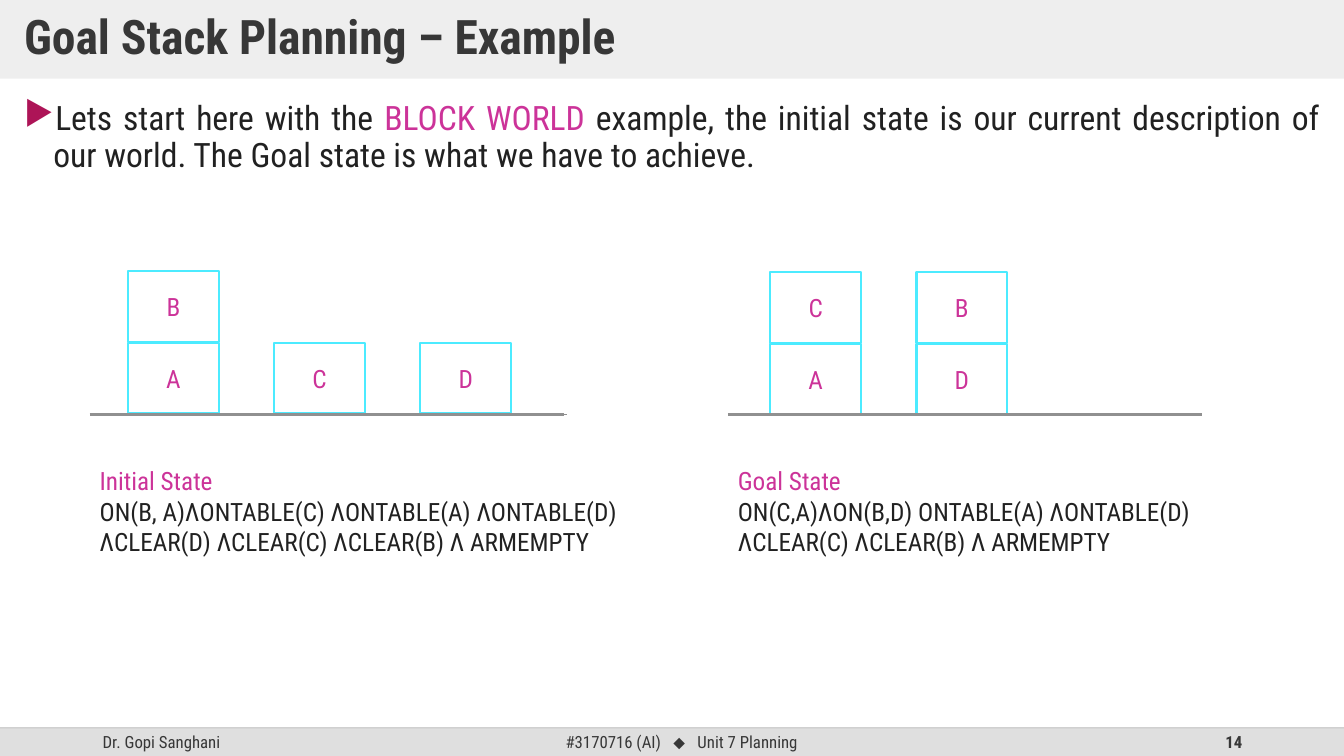
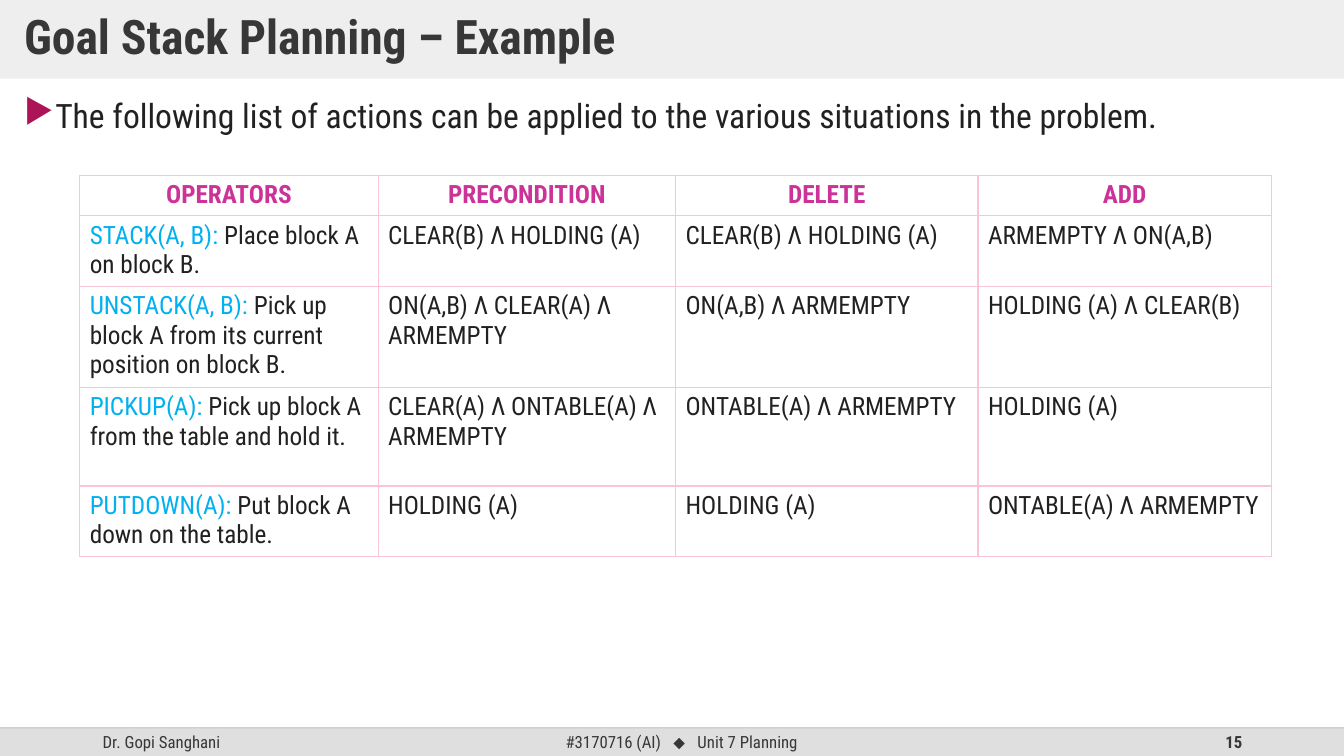
from dataclasses import dataclass

from pptx import Presentation
from pptx.dml.color import RGBColor
from pptx.enum.shapes import MSO_CONNECTOR as Connector, MSO_SHAPE as Preset
from pptx.enum.text import MSO_ANCHOR as Anchor, PP_ALIGN as Align
from pptx.oxml import parse_xml
from pptx.oxml.ns import nsdecls, qn
from pptx.oxml.xmlchemy import BaseOxmlElement as Element
from pptx.shapes.autoshape import Shape
from pptx.slide import Slide
from pptx.table import _Cell as Cell
from pptx.text.text import TextFrame, _Paragraph as Paragraph
from pptx.util import Emu, Pt

PX = 9144  # 100 px to the inch
WIDTH, HEIGHT = 1333, 750


@dataclass(frozen=True)
class Theme:
    font: str = "Roboto Condensed"
    symbol_font: str = "Arial"
    band: str = "DFDFDF"
    footer_rule: str = "BFBFBF"
    heading: str = "373737"
    text: str = "212121"
    accent: str = "CC3399"
    operator: str = "00B0F0"
    bullet: str = "AD1457"
    block: str = "4CEBFF"
    ground: str = "909090"
    grid: str = "F9C5D7"
    title_size: int = 34
    body_size: int = 24
    detail_size: int = 18
    footer_size: int = 12


THEME = Theme()


@dataclass(frozen=True)
class Span:
    text: str
    color: str = THEME.text
    size: int = THEME.detail_size
    bold: bool = False
    font: str = THEME.font
    tracking: int = 0  # extra letter spacing, hundredths of a point


@dataclass(frozen=True)
class Box:
    left: int
    top: int
    width: int
    height: int

    def emu(self) -> tuple[Emu, Emu, Emu, Emu]:
        return px(self.left), px(self.top), px(self.width), px(self.height)


@dataclass(frozen=True)
class WorldState:
    name: str
    formula: str
    left: int
    first_block: int
    base_top: int
    stacks: tuple[str, ...]  # each stack is read from the table upwards


@dataclass(frozen=True)
class Operator:
    name: str
    action: str
    precondition: tuple[str, ...]
    delete: str
    add: str
    row_height: int


TITLE = "Goal Stack Planning – Example"
AUTHOR = "Dr. Gopi Sanghani"

STATES = (
    WorldState(
        "Initial State",
        "ON(B, A)ΛONTABLE(C) ΛONTABLE(A) ΛONTABLE(D) ΛCLEAR(D) ΛCLEAR(C) ΛCLEAR(B) Λ ARMEMPTY",
        89, 127, 340, ("AB", "C", "D"),
    ),
    WorldState(
        "Goal State",
        "ON(C,A)ΛON(B,D) ONTABLE(A) ΛONTABLE(D) ΛCLEAR(C) ΛCLEAR(B) Λ ARMEMPTY",
        722, 764, 341, ("AC", "DB"),
    ),
)
BLOCK_WIDTH, BLOCK_HEIGHT = 90, 70
STACK_PITCH, LEVEL_PITCH = 145, 71
GROUND_TOP, GROUND_WIDTH = 411, 470

HEADERS = ("OPERATORS", "PRECONDITION", "DELETE", "ADD")
COLUMN_WIDTHS = (296, 295, 300, 291)
HEADER_HEIGHT = 40
OPERATORS = (
    Operator("STACK(A, B): ", "Place block A on block B.",
             ("CLEAR(B) Λ HOLDING (A)",), "CLEAR(B) Λ HOLDING (A)", "ARMEMPTY Λ ON(A,B)", 69),
    Operator("UNSTACK(A, B): ", "Pick up block A from its current position on block B.",
             ("ON(A,B) Λ CLEAR(A) Λ", "ARMEMPTY"), "ON(A,B) Λ ARMEMPTY",
             "HOLDING (A) Λ CLEAR(B)", 98),
    Operator("PICKUP(A): ", "Pick up block A from the table and hold it.",
             ("CLEAR(A) Λ ONTABLE(A) Λ", "ARMEMPTY"), "ONTABLE(A) Λ ARMEMPTY", "HOLDING (A)", 98),
    Operator("PUTDOWN(A): ", "Put block A down on the table.",
             ("HOLDING (A)",), "HOLDING (A)", "ONTABLE(A) Λ ARMEMPTY", 69),
)


def px(length: int) -> Emu:
    return Emu(length * PX)


def rgb(color: str) -> RGBColor:
    return RGBColor.from_string(color)


def set_opacity(properties: Element, percent: int) -> None:
    color = properties.find(".//" + qn("a:srgbClr"))
    color.append(parse_xml(f'<a:alpha {nsdecls("a")} val="{percent * 1000}"/>'))


# Text
def write_spans(para: Paragraph, spans: list[Span], align: Align = Align.LEFT) -> None:
    para.alignment = align
    for span in spans:
        run = para.add_run()
        run.text = span.text
        run.font.name = span.font
        run.font.size = Pt(span.size)
        run.font.bold = span.bold
        run.font.color.rgb = rgb(span.color)
        if span.tracking:
            run.font._element.set("spc", str(span.tracking))


def write_paragraphs(frame: TextFrame, paragraphs: list[list[Span]],
                     align: Align = Align.LEFT) -> None:
    for index, spans in enumerate(paragraphs):
        para = frame.add_paragraph() if index else frame.paragraphs[0]
        write_spans(para, spans, align)


def add_text(slide: Slide, box: Box, paragraphs: list[list[Span]],
             align: Align = Align.LEFT, anchor: Anchor = Anchor.TOP) -> TextFrame:
    frame = slide.shapes.add_textbox(*box.emu()).text_frame
    frame.word_wrap = True
    frame.vertical_anchor = anchor
    write_paragraphs(frame, paragraphs, align)
    return frame


def add_bullet(slide: Slide, top: int, spans: list[Span]) -> None:
    frame = add_text(slide, Box(14, top, 1305, 611), [spans], Align.JUSTIFY)
    para = frame.paragraphs[0]
    para.line_spacing = 0.9
    para.space_before = Pt(10)
    properties = para._p.get_or_add_pPr()
    properties.set("marL", str(px(29)))
    properties.set("indent", str(-px(29)))
    properties.append(parse_xml(
        f'<a:buClr {nsdecls("a")}><a:srgbClr val="{THEME.bullet}"/></a:buClr>'))
    properties.append(parse_xml(f'<a:buChar {nsdecls("a")} char="▶"/>'))


# Shapes and lines
def add_rectangle(slide: Slide, box: Box, fill: str = "", line: str = "") -> Shape:
    shape = slide.shapes.add_shape(Preset.RECTANGLE, *box.emu())
    shape.shadow.inherit = False
    if fill:
        shape.fill.solid()
        shape.fill.fore_color.rgb = rgb(fill)
    else:
        shape.fill.background()
    if line:
        shape.line.color.rgb = rgb(line)
        shape.line.width = Pt(1.5)
    else:
        shape.line.fill.background()
    shape.text_frame.word_wrap = True
    shape.text_frame.vertical_anchor = Anchor.MIDDLE
    return shape


def add_rule(slide: Slide, left: int, top: int, width: int, color: str,
             weight: float, opacity: int = 100) -> None:
    rule = slide.shapes.add_connector(
        Connector.STRAIGHT, px(left), px(top), px(left + width), px(top))
    rule.line.color.rgb = rgb(color)
    rule.line.width = Pt(weight)
    properties = rule._element.spPr
    properties.append(parse_xml(f'<a:effectLst {nsdecls("a")}/>'))
    if opacity < 100:
        set_opacity(properties, opacity)


# Title band and footer shared by every slide
def footer_span(text: str, bold: bool = False, font: str = THEME.font,
                tracking: int = 0) -> Span:
    return Span(text, THEME.heading, THEME.footer_size, bold, font, tracking)


def add_page(deck: Presentation, number: int) -> Slide:
    slide = deck.slides.add_slide(deck.slide_layouts[6])

    add_rectangle(slide, Box(0, 722, WIDTH, 28), THEME.band)
    gap = footer_span(" ", tracking=600)
    course = [footer_span("#3170716 (AI)"), gap, footer_span("⬥", font=THEME.symbol_font),
              gap, footer_span("Unit 7 Planning")]
    footer_parts = (
        (92, 300, [footer_span(AUTHOR)], Align.LEFT),
        (442, 468, course, Align.CENTER),
        (942, 300, [footer_span(str(number), bold=True)], Align.RIGHT),
    )
    for left, width, spans, align in footer_parts:
        add_text(slide, Box(left, 722, width, 28), [spans], align, Anchor.MIDDLE)
    add_rule(slide, 0, 722, WIDTH, THEME.footer_rule, 1, 70)

    title = add_rectangle(slide, Box(0, 0, WIDTH, 78), THEME.band)
    set_opacity(title._element.spPr, 50)
    frame = title.text_frame
    frame.margin_left = frame.margin_right = px(24)
    frame.margin_top = frame.margin_bottom = px(12)
    write_spans(frame.paragraphs[0], [Span(TITLE, THEME.heading, THEME.title_size, True)])
    frame.paragraphs[0].line_spacing = 0.9
    return slide


# Block world
def add_state(slide: Slide, state: WorldState) -> None:
    for column, stack in enumerate(state.stacks):
        for level, name in enumerate(stack):
            box = Box(state.first_block + column * STACK_PITCH,
                      state.base_top - level * LEVEL_PITCH, BLOCK_WIDTH, BLOCK_HEIGHT)
            block = add_rectangle(slide, box, line=THEME.block)
            write_spans(block.text_frame.paragraphs[0], [Span(name, THEME.accent)], Align.CENTER)
    add_rule(slide, state.left, GROUND_TOP, GROUND_WIDTH, THEME.ground, 2.25)
    add_text(slide, Box(state.left, 457, 553, 101),
             [[Span(state.name, THEME.accent)], [Span(state.formula)]])


# Operator table
def fill_cell(cell: Cell, paragraphs: list[list[Span]], align: Align = Align.LEFT) -> None:
    write_paragraphs(cell.text_frame, paragraphs, align)
    properties = cell._tc.get_or_add_tcPr()
    for side in "LRTB":
        properties.append(parse_xml(
            f'<a:ln{side} {nsdecls("a")} w="{Pt(1)}"><a:solidFill>'
            f'<a:srgbClr val="{THEME.grid}"/></a:solidFill></a:ln{side}>'))
    cell.fill.background()


def add_operator_table(slide: Slide) -> None:
    heights = [HEADER_HEIGHT] + [operator.row_height for operator in OPERATORS]
    box = Box(79, 174, sum(COLUMN_WIDTHS), sum(heights))
    table = slide.shapes.add_table(len(heights), len(HEADERS), *box.emu()).table
    table.first_row = table.horz_banding = False
    for column, width in zip(table.columns, COLUMN_WIDTHS):
        column.width = px(width)
    for row, height in zip(table.rows, heights):
        row.height = px(height)

    for column, header in enumerate(HEADERS):
        fill_cell(table.cell(0, column), [[Span(header, THEME.accent, bold=True)]], Align.CENTER)
    for row, operator in enumerate(OPERATORS, start=1):
        contents = (
            [[Span(operator.name, THEME.operator), Span(operator.action)]],
            [[Span(line)] for line in operator.precondition],
            [[Span(operator.delete)]],
            [[Span(operator.add)]],
        )
        for column, paragraphs in enumerate(contents):
            fill_cell(table.cell(row, column), paragraphs)


def main() -> None:
    deck = Presentation()
    deck.slide_width, deck.slide_height = px(WIDTH), px(HEIGHT)

    world = add_page(deck, 14)
    add_bullet(world, 96, [
        Span("Lets start here with the ", size=THEME.body_size),
        Span("BLOCK WORLD ", THEME.accent, THEME.body_size),
        Span("example, the initial state is our current description of our world. "
             "The Goal state is what we have to achieve.", size=THEME.body_size),
    ])
    add_rule(world, 92, GROUND_TOP, GROUND_WIDTH, THEME.ground, 0.5)
    for state in STATES:
        add_state(world, state)

    actions = add_page(deck, 15)
    add_bullet(actions, 94, [
        Span("The following list of actions can be applied to the various situations "
             "in the problem.", size=THEME.body_size)])
    add_operator_table(actions)

    deck.save("out.pptx")


if __name__ == "__main__":
    main()
